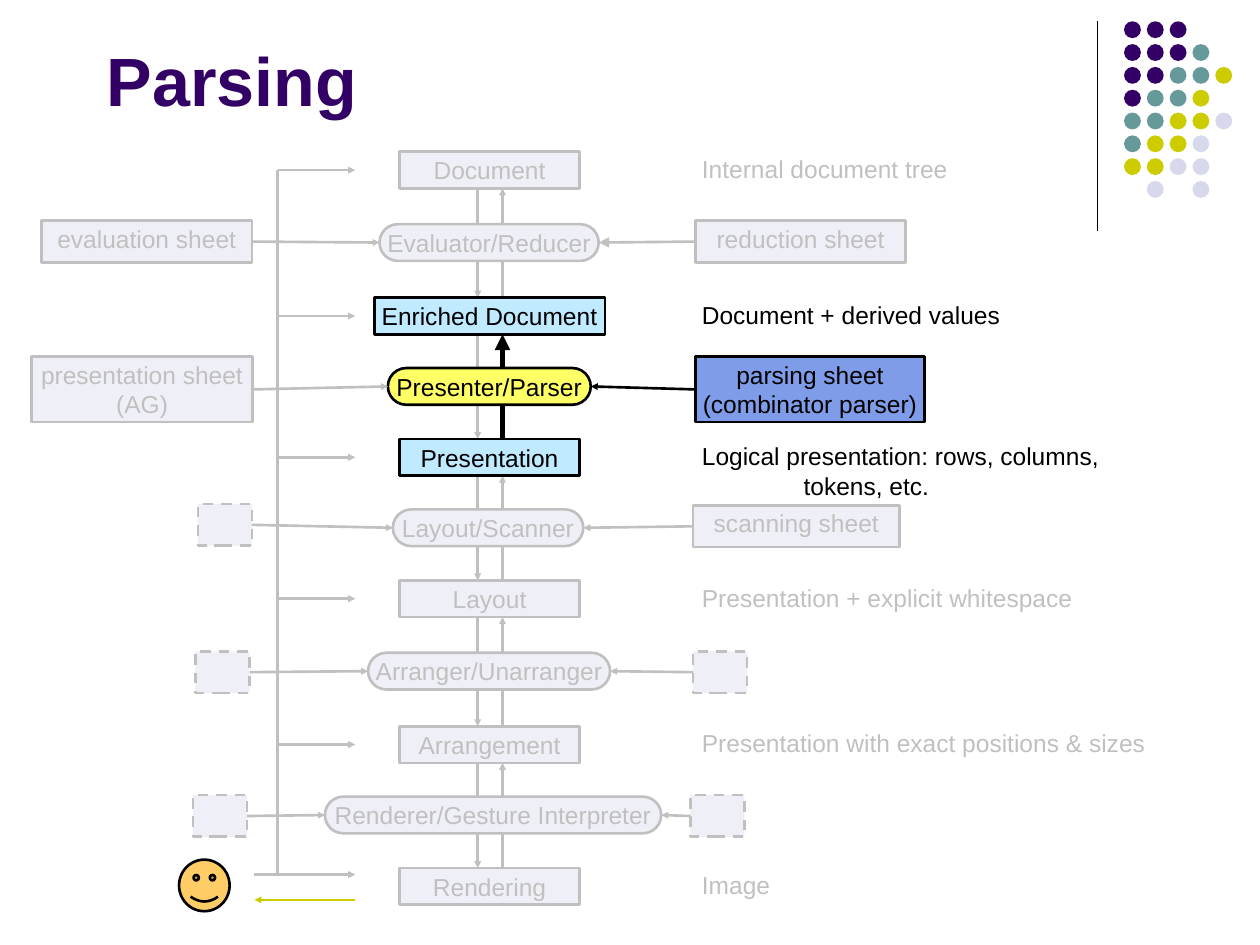
from lxml import etree
from pptx import Presentation
from pptx.dml.color import RGBColor
from pptx.enum.dml import MSO_LINE
from pptx.enum.shapes import MSO_CONNECTOR, MSO_SHAPE
from pptx.enum.text import MSO_ANCHOR, MSO_AUTO_SIZE, PP_ALIGN
from pptx.oxml.ns import qn
from pptx.util import Cm, Pt

RECT, PILL = MSO_SHAPE.RECTANGLE, MSO_SHAPE.ROUNDED_RECTANGLE
OVAL, SMILE = MSO_SHAPE.OVAL, MSO_SHAPE.SMILEY_FACE
STRAIGHT, DASH = MSO_CONNECTOR.STRAIGHT, MSO_LINE.DASH
TOP, MIDDLE = MSO_ANCHOR.TOP, MSO_ANCHOR.MIDDLE
LEFT, CENTER = PP_ALIGN.LEFT, PP_ALIGN.CENTER

BLACK = RGBColor(0x00, 0x00, 0x00)
GRAY = RGBColor(0xC0, 0xC0, 0xC0)
PALE = RGBColor(0xEF, 0xEF, 0xF7)
SKY = RGBColor(0xBF, 0xEA, 0xFF)
BLUE = RGBColor(0x7E, 0x9C, 0xE8)
YELLOW = RGBColor(0xFF, 0xFF, 0x66)
PEACH = RGBColor(0xFF, 0xCC, 0x66)
PURPLE = RGBColor(0x33, 0x00, 0x66)
TEAL = RGBColor(0x66, 0x99, 0x99)
OLIVE = RGBColor(0xCC, 0xCC, 0x00)
LILAC = RGBColor(0xD8, 0xD8, 0xEC)


class Deck:
    """Style of the diagram and the slide being drawn."""
    font, size, weight = "Arial", 14, 1.5

    def __init__(self):
        self.prs = Presentation()
        self.prs.slide_width, self.prs.slide_height = Cm(25.4), Cm(19.05)
        self.slide = self.prs.slides.add_slide(self.prs.slide_layouts[5])
        self.shapes = self.slide.shapes

    def text(self, frame, lines, color, align, size=None, bold=False):
        for i, line in enumerate(lines):
            para = frame.paragraphs[0] if i == 0 else frame.add_paragraph()
            para.alignment = align
            run = para.add_run()
            run.text = line
            run.font.name, run.font.size = self.font, Pt(size or self.size)
            run.font.bold, run.font.color.rgb = bold, color

    def title(self, text, x, y, w, h):
        box = self.shapes.title
        box.left, box.top, box.width, box.height = Cm(x), Cm(y), Cm(w), Cm(h)
        frame = box.text_frame
        frame.auto_size, frame.vertical_anchor = MSO_AUTO_SIZE.NONE, MIDDLE
        self.text(frame, [text], PURPLE, LEFT, 39, True)

    def shape(self, kind, x, y, w, h, fill, line=None):
        item = self.shapes.add_shape(kind, Cm(x), Cm(y), Cm(w), Cm(h))
        item.shadow.inherit = False
        item.fill.solid()
        item.fill.fore_color.rgb = fill
        if line is None:
            item.line.fill.background()
        else:
            item.line.color.rgb, item.line.width = line, Pt(self.weight)
        return item

    def box(self, kind, x, y, w, h, lines, fill=PALE, ink=GRAY, anchor=MIDDLE):
        item = self.shape(kind, x, y, w, h, fill, ink)
        if kind == PILL:
            item.adjustments[0] = 0.5
        if not lines:
            item.line.dash_style = DASH
            return item
        frame = item.text_frame
        frame.word_wrap, frame.vertical_anchor = False, anchor
        frame.margin_left = frame.margin_right = Cm(0.13)
        frame.margin_top = frame.margin_bottom = Cm(0.06)
        self.text(frame, lines, ink, CENTER)
        return item

    def note(self, x, y, w, h, lines, ink):
        frame = self.shapes.add_textbox(Cm(x), Cm(y), Cm(w), Cm(h)).text_frame
        frame.word_wrap = True
        self.text(frame, lines, ink, LEFT)
        for para in frame.paragraphs[1:]:
            para._p.get_or_add_pPr().set("marL", str(Cm(2.05)))

    def line(self, x1, y1, x2, y2, color=GRAY, weight=None, head="sm"):
        item = self.shapes.add_connector(STRAIGHT, Cm(x1), Cm(y1), Cm(x2), Cm(y2))
        item.line.color.rgb, item.line.width = color, Pt(weight or self.weight)
        if head:
            etree.SubElement(item.line._get_or_add_ln(), qn("a:tailEnd"),
                             type="triangle", w=head, len=head)
        etree.SubElement(item._element.spPr, qn("a:effectLst"))
        return item

    def join(self, start, side, end, goal, color=GRAY, head="sm"):
        item = self.line(0, 0, 1, 1, color, head=head)
        item.begin_connect(start, side)
        item.end_connect(end, goal)


ROW, MID = 0.74, 9.87       # box height and centre of the main column
DOWN, UP = 9.63, 10.13      # the two vertical tracks
RAIL, TIP = 5.6, 7.16       # left rail and the tips of its arrows

# Layers: name, top, width, fill, ink, note, note width, note height
LAYERS = [
    ("Document", 3.06, 3.64, PALE, GRAY, ["Internal document tree"], 8.1, 1.57),
    ("Enriched Document", 6, 4.65, SKY, BLACK, ["Document + derived values"], 7.6, 0.84),
    ("Presentation", 8.85, 3.64, SKY, BLACK,
     ["Logical presentation: rows, columns,", "tokens, etc."], 9.6, 0.92),
    ("Layout", 11.7, 3.64, PALE, GRAY, ["Presentation + explicit whitespace"], 8.1, 1.57),
    ("Arrangement", 14.64, 3.64, PALE, GRAY,
     ["Presentation with exact positions & sizes"], 10, 0.96),
    ("Rendering", 17.5, 3.64, PALE, GRAY, ["Image"], 8.1, 1.57),
]

# Stages: name, left, top, width, fill, ink
STAGES = [
    ("Evaluator/Reducer", 7.65, 4.52, 4.42, PALE, GRAY),
    ("Presenter/Parser", 7.82, 7.42, 4.09, YELLOW, BLACK),
    ("Layout/Scanner", 7.92, 10.27, 3.84, PALE, GRAY),
    ("Arranger/Unarranger", 7.42, 13.16, 4.88, PALE, GRAY),
    ("Renderer/Gesture Interpreter", 6.55, 16.06, 6.78, PALE, GRAY),
]

# Sheets beside each stage: left, top, width, height, lines
INPUTS = [
    (0.84, 4.45, 4.24, 0.84, ["evaluation sheet"]),
    (0.64, 7.19, 4.45, 1.32, ["presentation sheet", "(AG)"]),
    (3.99, 10.16, 1.09, 0.84, []),
    (3.94, 13.13, 1.09, 0.84, []),
    (3.89, 16.03, 1.09, 0.84, []),
]
OUTPUTS = [
    (14.02, 4.45, 4.24, 0.84, ["reduction sheet"]),
    (14.02, 7.19, 4.62, 1.32, ["parsing sheet", "(combinator parser)"]),
    (13.97, 10.19, 4.17, 0.84, ["scanning sheet"]),
    (13.97, 13.13, 1.09, 0.84, []),
    (13.92, 16.03, 1.09, 0.84, []),
]

DOTS = ["PPP", "PPPT", "PPTTY", "PTTY", "TTYYL", "TYYL", "YYLL", " L L"]
TINTS = {"P": PURPLE, "T": TEAL, "Y": OLIVE, "L": LILAC}


def main():
    deck = Deck()
    deck.title("Parsing", 1.9, 0, 21.6, 3.18)

    # Corner ornament
    deck.line(22.12, 0.43, 22.12, 4.65, BLACK, 0.75, None)
    for r, row in enumerate(DOTS):
        for c, key in enumerate(row):
            if key in TINTS:
                deck.shape(OVAL, 22.66 + 0.46 * c, 0.43 + 0.46 * r, 0.34, 0.34, TINTS[key])

    # Tracks between neighbouring layers, behind the stages
    tops = [layer[1] for layer in LAYERS]
    for i, (top, low) in enumerate(zip(tops, tops[1:])):
        deck.line(DOWN, top + ROW, DOWN, low)
        if i == 1:
            deck.line(UP, low, UP, top + ROW, BLACK, 3, "med")
        else:
            deck.line(UP, low, UP, top + ROW)

    # Layers with their notes
    for name, top, wide, fill, ink, lines, w, h in LAYERS:
        deck.box(RECT, MID - wide / 2, top, wide, ROW, [name], fill, ink)
        deck.note(13.9, top - 0.08, w, h, lines, ink)

    # Stages with the sheets on both sides
    for i, (name, x, y, w, fill, ink) in enumerate(STAGES):
        pill = deck.box(PILL, x, y, w, ROW, [name], fill, ink)
        left = deck.box(RECT, *INPUTS[i], anchor=TOP)
        right = deck.box(RECT, *OUTPUTS[i], BLUE if ink == BLACK else PALE, ink, TOP)
        deck.join(left, 3, pill, 1)
        deck.join(right, 1, pill, 3, ink, "med" if i == 0 else "sm")

    # Rail from the user to every layer
    foot = 17.63
    levels = [top + ROW / 2 for top in tops[:-1]] + [foot]
    deck.line(RAIL, levels[0], RAIL, foot, head=None)
    for level in levels:
        deck.line(RAIL, level, TIP, level)
    deck.line(5.13, foot, RAIL, foot, head=None)
    deck.line(TIP, 18.14, 5.13, 18.14, OLIVE)
    deck.shape(SMILE, 3.61, 17.33, 1.02, 1.04, PEACH, BLACK)

    deck.prs.save("out.pptx")


if __name__ == "__main__":
    main()
